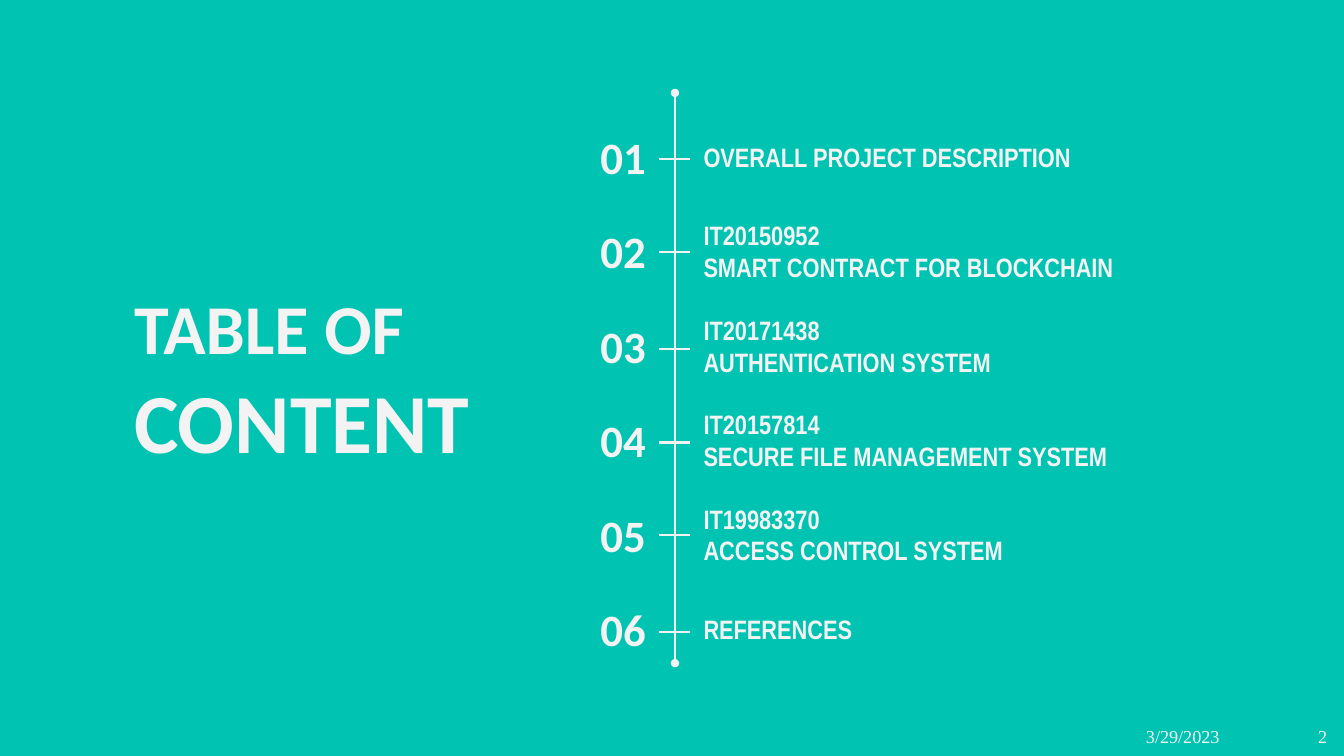
from dataclasses import dataclass

from lxml import etree
from pptx import Presentation
from pptx import util as u
from pptx.dml.color import RGBColor
from pptx.enum import shapes, text
from pptx.oxml import ns


@dataclass(frozen=True)
class Theme:
    background: str = "00C3B1"
    ink: str = "F3F3F3"
    heading_font: str = "Calibri"
    label_font: str = "Arial Narrow"
    footer_font: str = "Times New Roman"
    title_sizes: tuple = (50, 60)
    number_size: int = 32
    label_size: int = 19
    footer_size: int = 13
    line_width: float = 1.5
    inset: float = 0.33


class ContentsPage:
    """Holds the theme and the slide being drawn."""

    def __init__(self, deck, theme):
        self.theme = theme
        self.page = deck.slides.add_slide(deck.slide_layouts[5])
        fill = self.page.background.fill
        fill.solid()
        fill.fore_color.rgb = RGBColor.from_string(theme.background)

    def place(self, box, left, top, width, height):
        box.left, box.top = u.Cm(left), u.Cm(top)
        box.width, box.height = u.Cm(width), u.Cm(height)
        frame = box.text_frame
        frame.word_wrap = True
        frame.auto_size = text.MSO_AUTO_SIZE.NONE
        frame.vertical_anchor = text.MSO_ANCHOR.MIDDLE
        frame.margin_left = frame.margin_right = u.Cm(self.theme.inset)
        frame.margin_top = frame.margin_bottom = u.Cm(self.theme.inset)
        return frame

    def add_lines(self, frame, lines, sizes, font, bold=True,
                  align=text.PP_ALIGN.LEFT):
        for index, (line, size) in enumerate(zip(lines, sizes)):
            para = frame.add_paragraph() if index else frame.paragraphs[0]
            para.alignment = align
            para.line_spacing = 1.0
            para.space_before = u.Pt(0)
            span = para.add_run()
            span.text = line
            span.font.name = font
            span.font.size = u.Pt(size)
            span.font.bold = bold
            span.font.color.rgb = RGBColor.from_string(self.theme.ink)

    def title(self, lines, *area):
        frame = self.place(self.page.shapes.title, *area)
        self.add_lines(frame, lines, self.theme.title_sizes,
                       self.theme.heading_font)

    def text_box(self, *area):
        box = self.page.shapes.add_textbox(0, 0, 0, 0)
        return self.place(box, *area)

    def number(self, value, *area):
        self.add_lines(self.text_box(*area), [f"{value:02d}"],
                       [self.theme.number_size], self.theme.heading_font,
                       align=text.PP_ALIGN.RIGHT)

    def label(self, lines, *area):
        self.add_lines(self.text_box(*area), lines,
                       [self.theme.label_size] * len(lines),
                       self.theme.label_font)

    def line(self, x1, y1, x2, y2, dots=False):
        line = self.page.shapes.add_connector(
            shapes.MSO_CONNECTOR.STRAIGHT,
            u.Cm(x1), u.Cm(y1), u.Cm(x2), u.Cm(y2))
        line.line.color.rgb = RGBColor.from_string(self.theme.ink)
        line.line.width = u.Pt(self.theme.line_width)
        properties = line._element.spPr
        if dots:
            stroke = properties.find(ns.qn("a:ln"))
            for end in ("a:headEnd", "a:tailEnd"):
                etree.SubElement(stroke, ns.qn(end), type="oval")
        etree.SubElement(properties, ns.qn("a:effectLst"))

    def footer(self, date, page_number, *area):
        frame = self.text_box(*area)
        frame.margin_left, frame.margin_right = u.Cm(2.29), 0
        frame.margin_top = frame.margin_bottom = u.Cm(0.25)
        # The tab stop sets the page number apart from the date
        para = frame.paragraphs[0]
        para.line_spacing = 1.0
        para.space_before = u.Pt(0)
        stops = etree.SubElement(para._p.get_or_add_pPr(), ns.qn("a:tabLst"))
        etree.SubElement(stops, ns.qn("a:tab"),
                         pos=str(int(u.Cm(4.34))), algn="l")
        self.add_lines(frame, [f"{date}\t{page_number}"],
                       [self.theme.footer_size], self.theme.footer_font,
                       bold=False)


# Each entry: lines, label width, height of its tick on the timeline
ENTRIES = [
    (["OVERALL PROJECT DESCRIPTION"], 10.21, 4.01),
    (["IT20150952", "SMART CONTRACT FOR BLOCKCHAIN"], 12.67, 6.35),
    (["IT20171438", "AUTHENTICATION SYSTEM"], 9.09, 8.79),
    (["IT20157814", "SECURE FILE MANAGEMENT SYSTEM"], 11.73, 11.15),
    (["IT19983370", "ACCESS CONTROL SYSTEM"], 8.79, 13.49),
    (["REFERENCES"], 7.65, 15.93),
]
FIRST_TOP, ROW_STEP, ROW_HEIGHT = 2.79, 2.38, 2.31
NUMBER_LEFT, NUMBER_WIDTH = 8.97, 7.64
TICK_LEFT, TIMELINE_X, TICK_RIGHT = 16.61, 17.01, 17.4


def main():
    deck = Presentation()
    deck.slide_width, deck.slide_height = u.Cm(33.87), u.Cm(19.05)
    contents = ContentsPage(deck, Theme())

    # Title
    contents.title(["TABLE OF", "CONTENT"], 3.05, 7.92, 10.21, 3.18)

    # Timeline with numbered entries
    contents.line(TIMELINE_X, 2.34, TIMELINE_X, 16.71, dots=True)
    for index, (lines, width, tick) in enumerate(ENTRIES):
        top = FIRST_TOP + index * ROW_STEP
        contents.number(index + 1, NUMBER_LEFT, top, NUMBER_WIDTH, ROW_HEIGHT)
        contents.line(TICK_LEFT, tick, TICK_RIGHT, tick)
        contents.label(lines, TICK_RIGHT, top, width, ROW_HEIGHT)

    # Footer
    contents.footer("3/29/2023", 2, 26.59, 18.03, 7.11, 1.02)

    deck.save("out.pptx")


if __name__ == "__main__":
    main()
